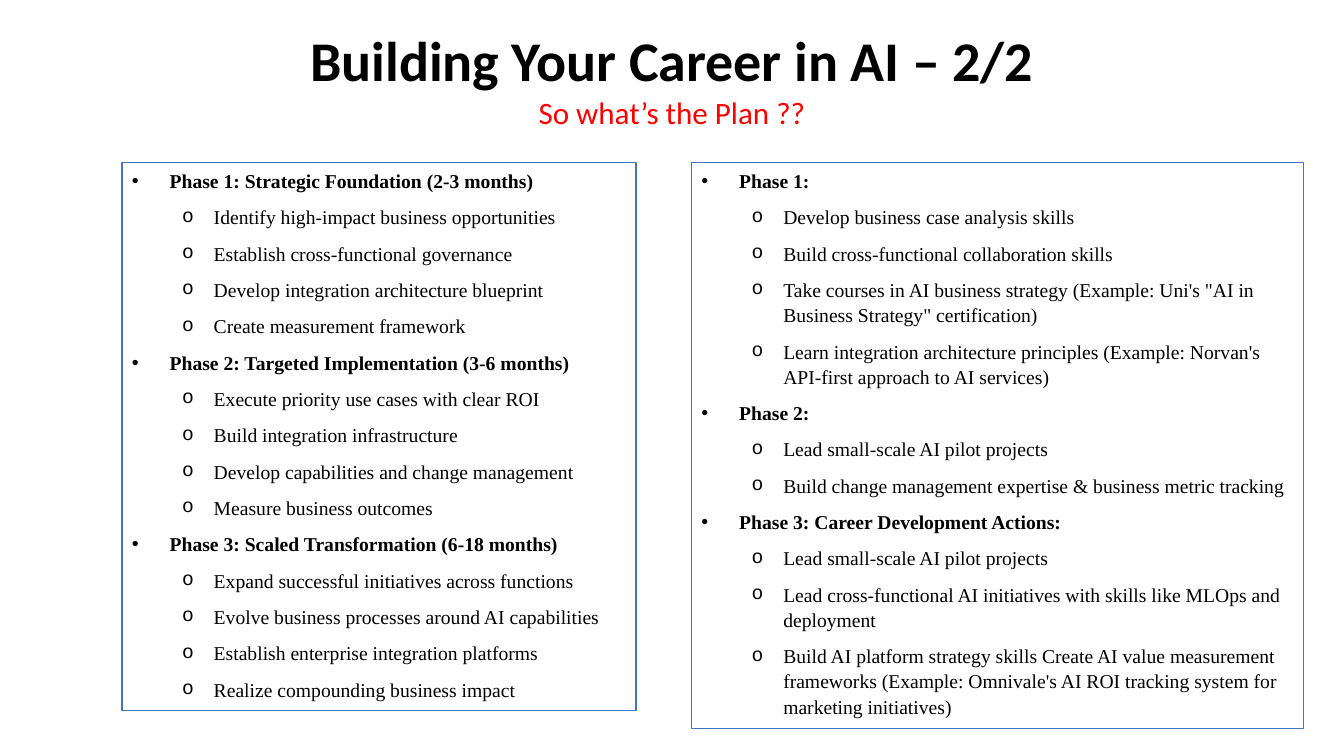
from lxml import etree
from pptx import Presentation
from pptx.dml.color import RGBColor
from pptx.enum import shapes, text
from pptx.oxml.ns import qn
from pptx.util import Pt

TOP = 115.92
ITEM_FONT = "Times New Roman"

# name, size, bold, colour, top, height, anchor, line spacing, space before
HEADINGS = [
    ("Building Your Career in AI – 2/2", 40, True, "000000",
     25.2, 45.36, text.MSO_ANCHOR.BOTTOM, 0.9, 0),
    ("So what’s the Plan ??", 22.2, False, "FF0000",
     70.56, 27.36, text.MSO_ANCHOR.TOP, 0.7, 10),
]

# left, width, height, phases
PANELS = [
    (87.12, 367.2, 391.68, {
        "Phase 1: Strategic Foundation (2-3 months)": [
            "Identify high-impact business opportunities",
            "Establish cross-functional governance",
            "Develop integration architecture blueprint",
            "Create measurement framework",
        ],
        "Phase 2: Targeted Implementation (3-6 months)": [
            "Execute priority use cases with clear ROI",
            "Build integration infrastructure",
            "Develop capabilities and change management",
            "Measure business outcomes",
        ],
        "Phase 3: Scaled Transformation (6-18 months)": [
            "Expand successful initiatives across functions",
            "Evolve business processes around AI capabilities",
            "Establish enterprise integration platforms",
            "Realize compounding business impact",
        ],
    }),
    (493.92, 437.04, 404.64, {
        "Phase 1:": [
            "Develop business case analysis skills",
            "Build cross-functional collaboration skills",
            "Take courses in AI business strategy (Example: Uni's \"AI in "
            "Business Strategy\" certification)",
            "Learn integration architecture principles (Example: Norvan's "
            "API-first approach to AI services)",
        ],
        "Phase 2:": [
            "Lead small-scale AI pilot projects",
            "Build change management expertise & business metric tracking",
        ],
        "Phase 3: Career Development Actions:": [
            "Lead small-scale AI pilot projects",
            "Lead cross-functional AI initiatives with skills like MLOps and "
            "deployment",
            "Build AI platform strategy skills Create AI value measurement "
            "frameworks (Example: Omnivale's AI ROI tracking system for "
            "marketing initiatives)",
        ],
    }),
]

# bullet, bullet font, left margin, hanging indent for each level
LEVELS = [("•", "Arial", 27, 27), ("o", "Courier New", 58.5, 22.5)]


def rgb(value):
    return RGBColor.from_string(value)


def set_bullet(paragraph, level):
    """Give the paragraph its level's bullet and hanging indent."""
    char, font, margin, hanging = LEVELS[level]
    paragraph.level = level
    properties = paragraph._p.get_or_add_pPr()
    properties.set("marL", str(Pt(margin)))
    properties.set("indent", str(-Pt(hanging)))
    etree.SubElement(properties, qn("a:buFont"), typeface=font)
    etree.SubElement(properties, qn("a:buChar"), char=char)


deck = Presentation()
deck.slide_width, deck.slide_height = Pt(960), Pt(540)
slide = deck.slides.add_slide(deck.slide_layouts[6])

for words, size, bold, color, top, height, anchor, spacing, before in HEADINGS:
    heading = slide.shapes.add_textbox(Pt(120), Pt(top), Pt(720), Pt(height))
    frame = heading.text_frame
    frame.word_wrap = True
    frame.vertical_anchor = anchor
    line = frame.paragraphs[0]
    line.text = words
    line.alignment = text.PP_ALIGN.CENTER
    line.line_spacing = spacing
    line.space_before = Pt(before)
    line.font.name, line.font.size, line.font.bold = "Calibri", Pt(size), bold
    line.font.color.rgb = rgb(color)

for left, width, height, phases in PANELS:
    panel = slide.shapes.add_shape(
        shapes.MSO_SHAPE.RECTANGLE, Pt(left), Pt(TOP), Pt(width), Pt(height))
    panel.shadow.inherit = False
    panel.fill.solid()
    panel.fill.fore_color.rgb = rgb("FFFFFF")
    panel.line.color.rgb = rgb("4472C4")
    panel.line.width = Pt(1)
    frame = panel.text_frame
    frame.word_wrap = True
    frame.auto_size = text.MSO_AUTO_SIZE.SHAPE_TO_FIT_TEXT
    frame.vertical_anchor = text.MSO_ANCHOR.TOP

    items = []
    for phase, steps in phases.items():
        items += [(phase, 0)] + [(step, 1) for step in steps]
    for index, (words, level) in enumerate(items):
        item = frame.add_paragraph() if index else frame.paragraphs[0]
        item.text = words
        set_bullet(item, level)
        item.alignment = text.PP_ALIGN.LEFT
        item.line_spacing = 1.07
        item.space_after = Pt(8)
        item.font.name, item.font.size = ITEM_FONT, Pt(14)
        item.font.bold = level == 0
        item.font.color.rgb = rgb("000000")

deck.save("out.pptx")
